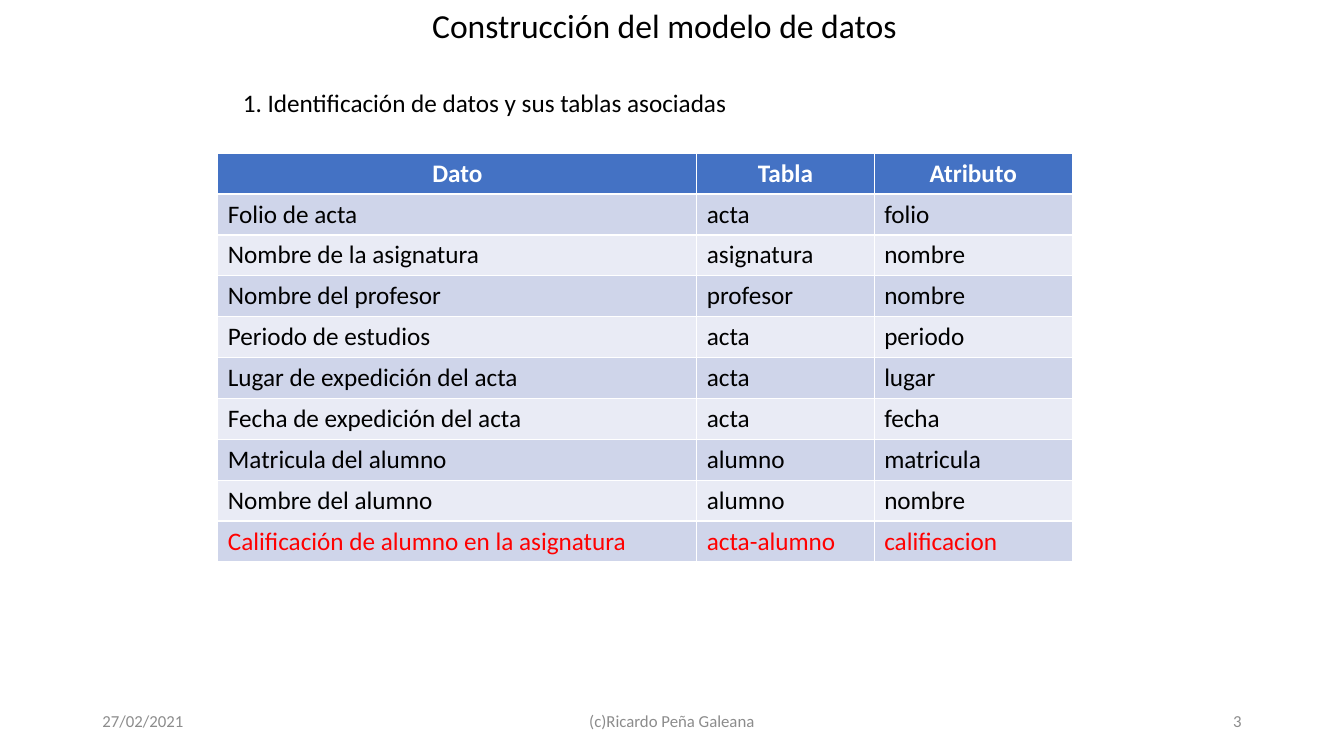
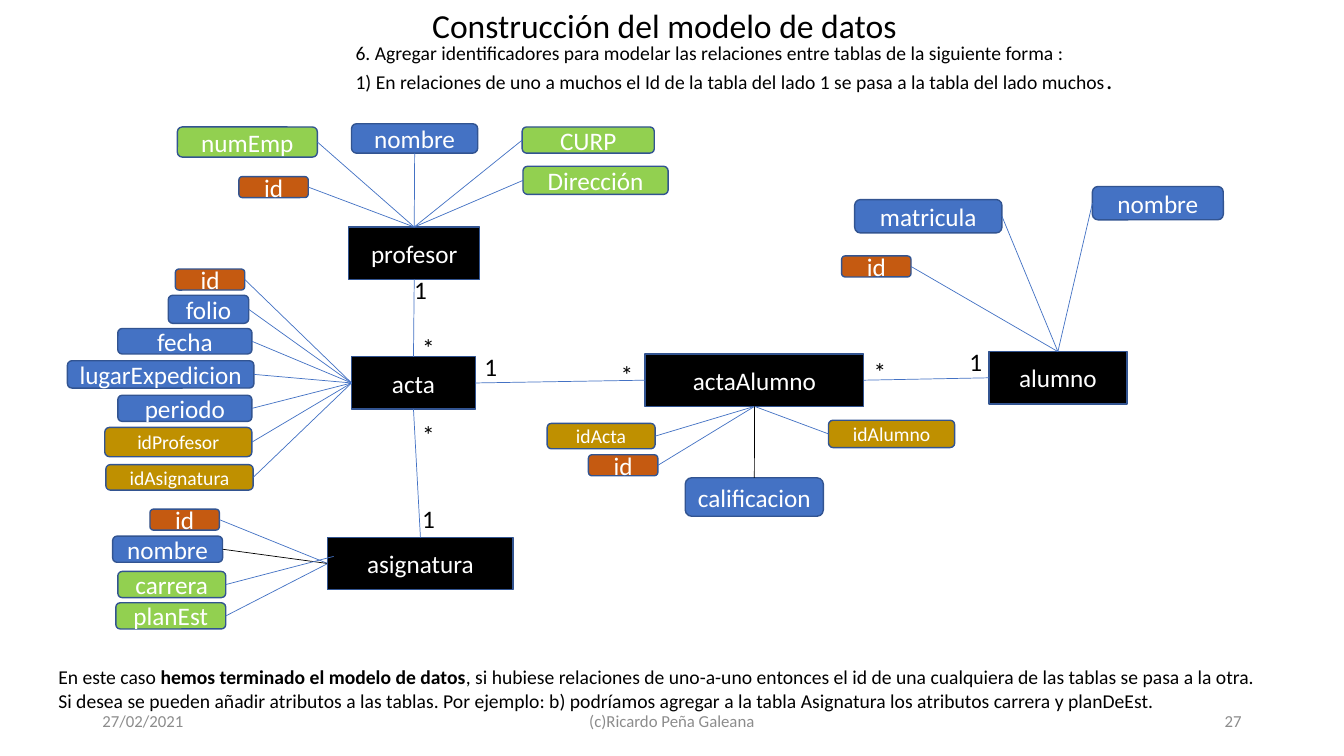
from lxml.etree import SubElement
from pptx import Presentation
from pptx.dml.color import RGBColor
from pptx.enum.shapes import MSO_CONNECTOR, MSO_SHAPE
from pptx.enum.text import MSO_ANCHOR, PP_ALIGN
from pptx.oxml.ns import qn
from pptx.util import Cm, Pt

FONT = "Calibri"
BLACK, WHITE, RED, GRAY = "000000", "FFFFFF", "FF0000", "8C8C8C"
BLUE, OUTLINE = "4472C4", "325491"
BANDS = ("CFD5EA", "E9EBF5")
TOP, LEFT, BOTTOM, RIGHT = range(4)

TITLE = "Construcción del modelo de datos"
DATE = "27/02/2021"
AUTHOR = "(c)Ricardo Peña Galeana"

STEP_1 = "1. Identificación de datos y sus tablas asociadas"
COLUMN_WIDTHS = (12.07, 4.47, 5)
ROW_HEIGHT = 1.03
HEADER = ("Dato", "Tabla", "Atributo")
ROWS = [
    ("Folio de acta", "acta", "folio"),
    ("Nombre de la asignatura", "asignatura", "nombre"),
    ("Nombre del profesor", "profesor", "nombre"),
    ("Periodo de estudios", "acta", "periodo"),
    ("Lugar de expedición del acta", "acta", "lugar"),
    ("Fecha de expedición del acta", "acta", "fecha"),
    ("Matricula del alumno", "alumno", "matricula"),
    ("Nombre del alumno", "alumno", "nombre"),
    ("Calificación de alumno en la asignatura", "acta-alumno", "calificacion"),
]

STEP_6 = [
    "6. Agregar identificadores para modelar las relaciones entre tablas de la siguiente forma :",
    "1) En relaciones de uno a muchos el Id de la tabla del lado 1 se pasa a la tabla del lado muchos",
]
CONCLUSION = [
    [("En este caso ", False), ("hemos terminado el modelo de datos", True),
     (", si hubiese relaciones de uno-a-uno entonces el id de una cualquiera "
      "de las tablas se pasa a la otra.", False)],
    [("Si desea se pueden añadir atributos a las tablas. Por ejemplo: b) podríamos agregar "
      "a la tabla Asignatura los atributos carrera y planDeEst.", False)],
]

ENTITY_HEIGHT = 1.32
ENTITIES = {  # left, top, width
    "acta": (8.86, 8.99, 3.12),
    "asignatura": (8.26, 13.54, 4.67),
    "profesor": (8.79, 5.72, 3.3),
    "alumno": (24.92, 8.86, 3.48),
    "actaAlumno": (16.26, 8.92, 5.51),
}
RELATIONS = [
    ("profesor", BOTTOM, "acta", TOP),
    ("asignatura", TOP, "acta", BOTTOM),
    ("acta", RIGHT, "actaAlumno", LEFT),
    ("actaAlumno", RIGHT, "alumno", LEFT),
]
CARDINALITIES = [
    ("1", 10.19, 6.78), ("*", 10.39, 8.26), ("1", 10.39, 12.55), ("*", 10.39, 10.44),
    ("1", 11.96, 8.74), ("*", 15.39, 8.92), ("*", 21.77, 8.86), ("1", 24.18, 8.59),
]
KINDS = {  # fill, text size
    "id": ("C55A11", 18),
    "own": (BLUE, 18),
    "foreign": ("BF9000", 14),
    "added": ("92D050", 18),
}
ID_SIZE = (1.75, 0.53)
# entity, side of the entity, attributes: name, kind, side, left, top, width, height
ATTRIBUTES = [
    ("acta", LEFT, [
        ("id", "id", RIGHT, 4.42, 6.78, *ID_SIZE),
        ("folio", "own", RIGHT, 4.24, 7.44, 2.03, 0.71),
        ("fecha", "own", RIGHT, 2.97, 8.28, 3.38, 0.64),
        ("lugarExpedicion", "own", RIGHT, 1.7, 9.09, 4.7, 0.69),
        ("periodo", "own", RIGHT, 2.97, 9.96, 3.38, 0.66),
        ("idProfesor", "foreign", RIGHT, 2.64, 10.77, 3.71, 0.74),
        ("idAsignatura", "foreign", RIGHT, 2.67, 11.71, 3.71, 0.64),
    ]),
    ("asignatura", LEFT, [
        ("id", "id", RIGHT, 3.78, 12.83, *ID_SIZE),
        ("nombre", "own", RIGHT, 2.84, 13.51, 2.77, 0.66),
        ("carrera", "added", RIGHT, 2.97, 14.4, 2.72, 0.66),
        ("planEst", "added", RIGHT, 2.92, 15.19, 2.77, 0.66),
    ]),
    ("profesor", TOP, [
        ("id", "id", RIGHT, 6.02, 4.45, *ID_SIZE),
        ("numEmp", "added", RIGHT, 4.47, 3.2, 3.53, 0.76),
        ("nombre", "own", BOTTOM, 8.86, 3.12, 3.18, 0.74),
        ("CURP", "added", LEFT, 13.16, 3.2, 3.33, 0.66),
        ("Dirección", "added", LEFT, 13.18, 4.19, 3.66, 0.71),
    ]),
    ("actaAlumno", BOTTOM, [
        ("idActa", "foreign", RIGHT, 13.79, 10.67, 2.72, 0.64),
        ("id", "id", RIGHT, 14.83, 11.46, *ID_SIZE),
        ("idAlumno", "foreign", LEFT, 20.88, 10.59, 3.18, 0.69),
        ("calificacion", "own", TOP, 17.27, 12.04, 3.48, 0.97),
    ]),
    ("alumno", TOP, [
        ("id", "id", RIGHT, 21.21, 6.45, *ID_SIZE),
        ("matricula", "own", RIGHT, 21.54, 5.03, 3.71, 0.84),
        ("nombre", "own", LEFT, 27.53, 4.7, 3.3, 0.84),
    ]),
]
BLACK_LINKS = {("asignatura", "nombre"), ("actaAlumno", "calificacion")}
LOOSE_ENDS = {("asignatura", "carrera"): (8.41, 14.02)}


def rgb(color):
    return RGBColor.from_string(color)


def style(p, size, color=BLACK, align=PP_ALIGN.LEFT, bold=None):
    p.alignment = align
    p.font.name, p.font.size, p.font.bold = FONT, Pt(size), bold
    p.font.color.rgb = rgb(color)


def add_text(slide, paragraphs, box, size, color=BLACK, align=PP_ALIGN.LEFT,
             anchor=MSO_ANCHOR.TOP, wrap=True):
    """Each paragraph is a list of (text, bold) runs."""
    tf = slide.shapes.add_textbox(*map(Cm, box)).text_frame
    tf.word_wrap, tf.vertical_anchor = wrap, anchor
    for i, runs in enumerate(paragraphs):
        p = tf.add_paragraph() if i else tf.paragraphs[0]
        for text, bold in runs:
            r = p.add_run()
            r.text = text
            if bold:
                r.font.bold = True
        style(p, size, color, align)
    return tf


def add_line_of_text(slide, text, *args, **options):
    return add_text(slide, [[(text, False)]], *args, **options)


def add_box(slide, preset, text, box, fill, size):
    sp = slide.shapes.add_shape(preset, *map(Cm, box))
    sp.shadow.inherit = False
    sp.fill.solid()
    sp.fill.fore_color.rgb = rgb(fill)
    sp.line.color.rgb = rgb(OUTLINE)
    sp.line.width = Pt(1)
    sp.text_frame.vertical_anchor = MSO_ANCHOR.MIDDLE
    p = sp.text_frame.paragraphs[0]
    p.text = text
    style(p, size, WHITE, PP_ALIGN.CENTER)
    return sp


def add_link(slide, start, start_side, end, end_side, color=BLUE, loose_end=None):
    """Joins two boxes; with loose_end the line stops at that point instead."""
    x, y = map(Cm, loose_end or (0, 0))
    link = slide.shapes.add_connector(MSO_CONNECTOR.STRAIGHT, x, y, x, y)
    link.begin_connect(start, start_side)
    if not loose_end:
        link.end_connect(end, end_side)
    link.line.color.rgb = rgb(color)
    link.line.width = Pt(0.5)
    SubElement(link._element.spPr, qn("a:effectLst"))


def add_slide(prs, number):
    slide = prs.slides.add_slide(prs.slide_layouts[6])
    add_line_of_text(slide, TITLE, (10.64, 0, 12.57, 1.27), 24, wrap=False)
    for text, left, width, align in (
        (DATE, 2.33, 7.62, PP_ALIGN.LEFT),
        (AUTHOR, 11.22, 11.43, PP_ALIGN.CENTER),
        (str(number), 23.92, 7.62, PP_ALIGN.RIGHT),
    ):
        add_line_of_text(slide, text, (left, 17.66, width, 1.01), 12, GRAY, align,
                         MSO_ANCHOR.MIDDLE)
    return slide


def add_data_table(slide):
    rows = [HEADER, *ROWS]
    table = slide.shapes.add_table(
        len(rows), len(HEADER), Cm(5.49), Cm(3.86),
        Cm(sum(COLUMN_WIDTHS)), Cm(ROW_HEIGHT * len(rows))).table
    for column, width in zip(table.columns, COLUMN_WIDTHS):
        column.width = Cm(width)
    for i, row in enumerate(rows):
        table.rows[i].height = Cm(ROW_HEIGHT)
        for j, text in enumerate(row):
            cell = table.cell(i, j)
            cell.fill.solid()
            cell.fill.fore_color.rgb = rgb(BANDS[(i - 1) % 2] if i else BLUE)
            p = cell.text_frame.paragraphs[0]
            p.text = text
            if i == 0:
                style(p, 18, WHITE, PP_ALIGN.CENTER, True)
            else:
                style(p, 18, RED if i == len(ROWS) else BLACK)


def add_model(slide):
    entities = {
        name: add_box(slide, MSO_SHAPE.RECTANGLE, name, (*place, ENTITY_HEIGHT), BLACK, 18)
        for name, place in ENTITIES.items()
    }
    for start, start_side, end, end_side in RELATIONS:
        add_link(slide, entities[start], start_side, entities[end], end_side)
    for text, left, top in CARDINALITIES:
        add_line_of_text(slide, text, (left, top, 0.71, 1.02), 18, wrap=False)
    for entity, entity_side, attributes in ATTRIBUTES:
        for name, kind, side, *box in attributes:
            sp = add_box(slide, MSO_SHAPE.ROUNDED_RECTANGLE, name, box, *KINDS[kind])
            key = (entity, name)
            add_link(slide, sp, side, entities[entity], entity_side,
                     BLACK if key in BLACK_LINKS else BLUE, LOOSE_ENDS.get(key))


def main():
    prs = Presentation()
    prs.slide_width, prs.slide_height = Cm(33.87), Cm(19.05)

    slide = add_slide(prs, 3)
    add_line_of_text(slide, STEP_1, (5.87, 2.08, 20.09, 1.02), 18)
    add_data_table(slide)

    slide = add_slide(prs, 27)
    add_model(slide)
    tf = add_text(slide, [[(text, False)] for text in STEP_6], (8.71, 0.91, 20.7, 1.63), 14)
    r = tf.paragraphs[-1].add_run()
    r.text = "."
    r.font.size = Pt(18)
    add_text(slide, CONCLUSION, (1.22, 16.64, 31.45, 1.45), 14)

    prs.save("out.pptx")


if __name__ == "__main__":
    main()
